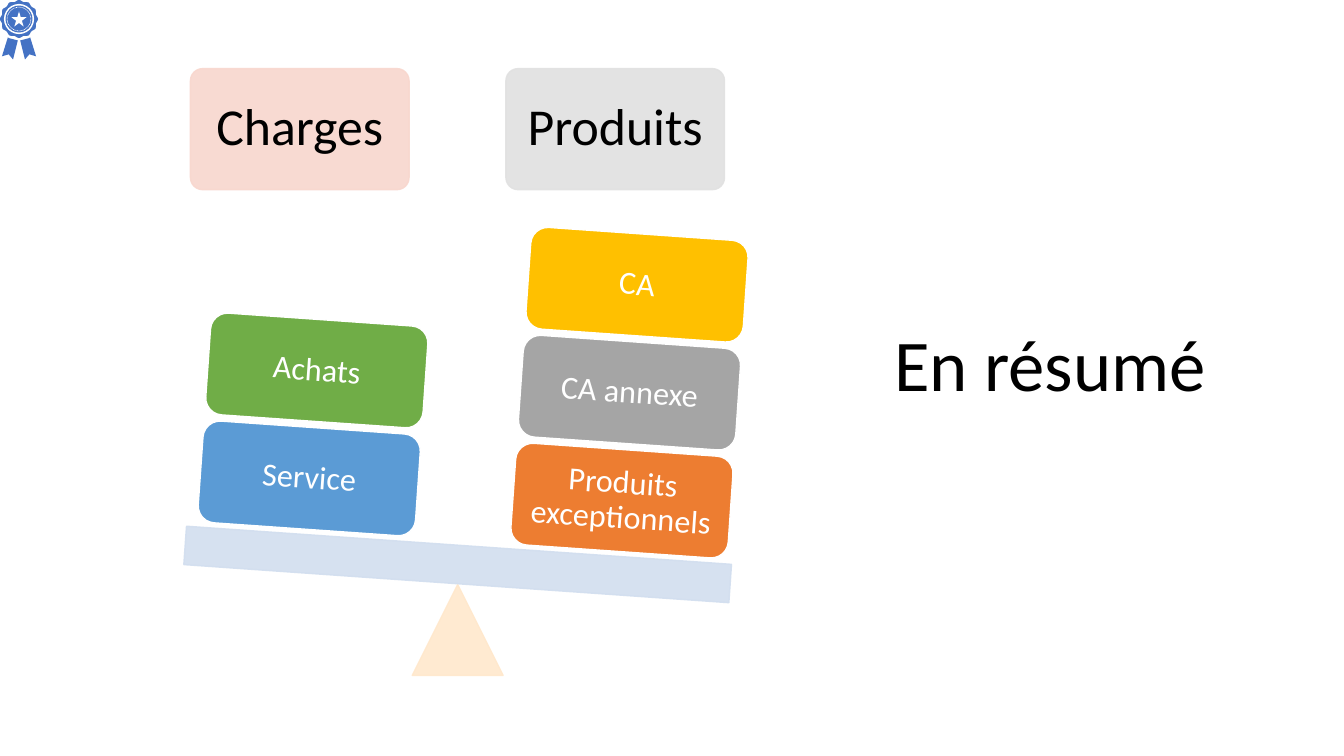
import math

import pptx
import pptx.dml.color
import pptx.enum.dml
import pptx.enum.shapes
import pptx.enum.text
import pptx.oxml
import pptx.util
from pptx.util import Cm

KIND = pptx.enum.shapes.MSO_SHAPE
ALIGN = pptx.enum.text.PP_ALIGN
MIDDLE = pptx.enum.text.MSO_ANCHOR.MIDDLE
BLUE, WHITE, BLACK = "4472C4", "FFFFFF", "000000"
NS = "http://schemas.openxmlformats.org/drawingml/2006/main"

HEADS = [("Charges", 4.8, "F8D7CE"), ("Produits", 12.75, "E1E1E1")]
# Left and top of the lowest tile, then the tiles from the bottom up
STACKS = [
    (12.93, 11.33, [("Produits exceptionnels", "ED7D31"),
                    ("CA annexe", "A5A5A5"), ("CA", "FFC000")]),
    (5.05, 10.77, [("Service", "5B9BD5"), ("Achats", "70AD47")]),
]
TILT = 4
STEP_X, STEP_Y = 0.19, -2.72


def rgb(code):
    return pptx.dml.color.RGBColor.from_string(code)


def paint(shape, fill, line=None):
    shape.shadow.inherit = False
    shape.fill.solid()
    shape.fill.fore_color.rgb = rgb(fill)
    if line:
        shape.line.color.rgb = rgb(line)
        shape.line.width = pptx.util.Pt(1)
    else:
        shape.line.fill.background()


def fade(shape):
    """Make fill and outline 90 % opaque."""
    for color in shape._element.spPr.iter(f"{{{NS}}}srgbClr"):
        color.append(pptx.oxml.parse_xml(f'<a:alpha xmlns:a="{NS}" val="90000"/>'))


def block(shapes, kind, left, top, width, height, fill, line=None):
    shape = shapes.add_shape(kind, Cm(left), Cm(top), Cm(width), Cm(height))
    paint(shape, fill, line)
    return shape


def write(shape, text, size, color, align, inset):
    frame = shape.text_frame
    frame.text = text
    frame.word_wrap = True
    frame.auto_size = pptx.enum.text.MSO_AUTO_SIZE.NONE
    frame.vertical_anchor = MIDDLE
    frame.margin_left = frame.margin_right = Cm(inset)
    frame.margin_top = frame.margin_bottom = Cm(inset)
    para = frame.paragraphs[0]
    para.alignment = align
    para.line_spacing = 0.9
    para.font.name = "Calibri"
    para.font.size = pptx.util.Pt(size)
    para.font.color.rgb = rgb(color)


def outline(shapes, points, fill):
    spots = [(Cm(x), Cm(y)) for x, y in points]
    pen = shapes.build_freeform(*spots[0], scale=1.0)
    pen.add_line_segments(spots[1:], close=True)
    paint(pen.convert_to_shape(), fill)


def disc(shapes, mid, radius, fill):
    return block(shapes, KIND.OVAL, mid - radius, mid - radius,
                 2 * radius, 2 * radius, fill)


def badge(slide):
    """Draw the scalloped medal with its two ribbons."""
    shapes = slide.shapes.add_group_shape().shapes
    mid = 0.48
    rim = []
    for deg in range(0, 360, 5):
        turn = math.radians(deg)
        reach = 0.46 + 0.02 * math.cos(12 * turn)
        rim.append((mid + reach * math.cos(turn), mid + reach * math.sin(turn)))
    outline(shapes, rim, BLUE)
    disc(shapes, mid, 0.38, WHITE)
    disc(shapes, mid, 0.34, BLUE)
    dots = disc(shapes, mid, 0.3, BLUE)
    dots.line.color.rgb = rgb(WHITE)
    dots.line.width = pptx.util.Pt(0.5)
    dots.line.dash_style = pptx.enum.dml.MSO_LINE.ROUND_DOT
    block(shapes, KIND.STAR_5_POINT, mid - 0.19, mid - 0.19, 0.38, 0.38, WHITE)

    band = [(0.74, 0.96), (0.51, 1.02), (0.63, 1.5),
            (0.74, 1.37), (0.91, 1.42), (0.76, 0.94)]
    outline(shapes, band, BLUE)
    outline(shapes, [(2 * mid - x, y) for x, y in band], BLUE)


def scale(slide):
    """Draw the headings, the tilted beam and the stacked tiles."""
    shapes = slide.shapes
    for text, left, color in HEADS:
        head = block(shapes, KIND.ROUNDED_RECTANGLE, left, 1.73, 5.51, 3.05,
                     color, color)
        head.adjustments[0] = 0.1
        fade(head)
        write(head, text, 37, BLACK, ALIGN.CENTER, 0.38)

    peak = block(shapes, KIND.ISOSCELES_TRIANGLE, 10.39, 14.73, 2.29, 2.29,
                 "FFE8CC", "FFE8CC")
    beam = block(shapes, KIND.RECTANGLE, 4.65, 13.74, 13.77, 0.97,
                 "D2DEEF", "D2DEEF")
    beam.rotation = TILT
    fade(peak)
    fade(beam)

    for left, top, tiles in STACKS:
        for row, (text, color) in enumerate(tiles):
            tile = block(shapes, KIND.ROUNDED_RECTANGLE, left + row * STEP_X,
                         top + row * STEP_Y, 5.49, 2.57, color, WHITE)
            tile.rotation = TILT
            write(tile, text, 23, WHITE, ALIGN.CENTER, 0.25)


def main():
    deck = pptx.Presentation()
    deck.slide_width, deck.slide_height = Cm(33.87), Cm(19.05)
    slide = deck.slides.add_slide(deck.slide_layouts[5])
    title = slide.shapes.title
    title.left, title.top = Cm(22.28), Cm(1.52)
    title.width, title.height = Cm(11.07), Cm(15.49)
    write(title, "En résumé", 52, BLACK, ALIGN.LEFT, 0.25)
    badge(slide)
    scale(slide)
    deck.save("out.pptx")


if __name__ == "__main__":
    main()
